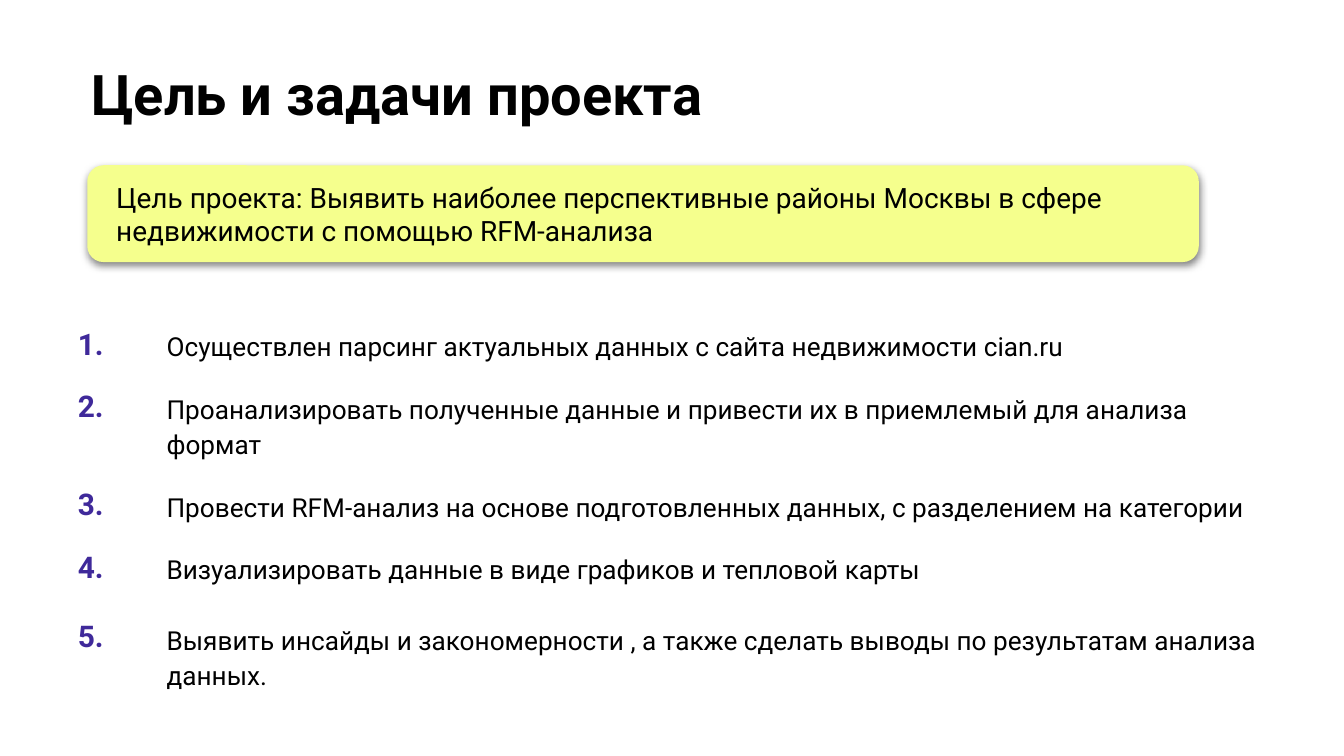
from dataclasses import dataclass

from lxml import etree
from pptx import Presentation
from pptx.dml.color import RGBColor
from pptx.enum.shapes import MSO_SHAPE
from pptx.enum.text import MSO_ANCHOR, MSO_AUTO_SIZE, PP_ALIGN
from pptx.oxml.ns import qn
from pptx.util import Inches, Pt

ROUNDED = MSO_SHAPE.ROUNDED_RECTANGLE
LEFT = PP_ALIGN.LEFT
TOP, MIDDLE = MSO_ANCHOR.TOP, MSO_ANCHOR.MIDDLE
NO_AUTOFIT = MSO_AUTO_SIZE.NONE
TITLE_ONLY = 5


@dataclass(frozen=True)
class Theme:
    font: str = "Roboto"
    line_height: float = 1.17  # of the type size
    text: RGBColor = RGBColor(0x00, 0x00, 0x00)
    number: RGBColor = RGBColor(0x3F, 0x29, 0x9A)
    goal: RGBColor = RGBColor(0xF5, 0xFF, 0x8D)
    title_size: int = 30
    goal_size: int = 15
    number_size: int = 16
    task_size: int = 14


THEME = Theme()

TITLE = "Цель и задачи проекта"
GOAL = ("Цель проекта: Выявить наиболее перспективные районы Москвы "
        "в сфере недвижимости с помощью RFM-анализа")

# Numbers and tasks of each table row; the last row is empty
ROWS = [
    (["1."], ["Осуществлен парсинг актуальных данных с сайта "
              "недвижимости cian.ru"]),
    (["2."], ["Проанализировать полученные данные и привести их "
              "в приемлемый для анализа формат"]),
    (["3."], ["Провести RFM-анализ на основе подготовленных данных, "
              "с разделением на категории"]),
    (["4.", "5."], ["Визуализировать данные в виде графиков и тепловой карты",
                    "Выявить инсайды и закономерности , а также сделать "
                    "выводы по результатам анализа данных."]),
    ([], []),
]
COLUMN_WIDTHS = (0.66, 8.56)
ROW_HEIGHT = 0.42


def set_margins(target, left, right):
    target.margin_left, target.margin_right = Inches(left), Inches(right)
    target.margin_top = target.margin_bottom = Inches(0.1)


def write(tf, lines, size, color=THEME.text, bold=False, spacing=None):
    """Fill a frame with paragraphs set one line apart."""
    tf.word_wrap = True
    for i, line in enumerate(lines):
        p = tf.add_paragraph() if i else tf.paragraphs[0]
        p.text = line
        p.alignment = LEFT
        if spacing:
            p.line_spacing = spacing
        if i:
            p.space_before = Pt(size * THEME.line_height * (spacing or 1))
        font = p.font
        font.name, font.size, font.bold = THEME.font, Pt(size), bold
        font.color.rgb = color


def add_shadow(sp):
    """Soft shadow straight below the shape, at half opacity."""
    sp.shadow.inherit = False
    effects = sp._element.spPr.find(qn("a:effectLst"))
    shadow = etree.SubElement(
        effects, qn("a:outerShdw"), blurRad=str(Pt(4.5)), dist=str(Pt(1.5)),
        dir="5400000", algn="bl", rotWithShape="0")
    color = etree.SubElement(shadow, qn("a:srgbClr"), val="000000")
    etree.SubElement(color, qn("a:alpha"), val="50000")


def set_title(slide):
    sp = slide.shapes.title
    sp.left, sp.top = Inches(0.58), Inches(0.34)
    sp.width, sp.height = Inches(9.32), Inches(1.43)
    tf = sp.text_frame
    tf.auto_size = NO_AUTOFIT
    tf.vertical_anchor = TOP
    set_margins(tf, 0.1, 0.1)
    write(tf, [TITLE], THEME.title_size, bold=True)


def add_goal(slide):
    sp = slide.shapes.add_shape(
        ROUNDED, Inches(0.65), Inches(1.23), Inches(8.27), Inches(0.72))
    sp.fill.solid()
    sp.fill.fore_color.rgb = THEME.goal
    sp.line.fill.background()
    add_shadow(sp)
    tf = sp.text_frame
    tf.vertical_anchor = MIDDLE
    set_margins(tf, 0.18, 0.18)
    write(tf, [GOAL], THEME.goal_size)


def add_tasks(slide):
    table = slide.shapes.add_table(
        len(ROWS), len(COLUMN_WIDTHS), Inches(0.36), Inches(2.34),
        Inches(sum(COLUMN_WIDTHS)), Inches(ROW_HEIGHT * len(ROWS))).table
    table.first_row = table.horz_banding = False
    for column, width in zip(table.columns, COLUMN_WIDTHS):
        column.width = Inches(width)

    # Rows grow with their text
    for row, (numbers, tasks) in zip(table.rows, ROWS):
        row.height = Inches(ROW_HEIGHT)
        number_cell, task_cell = row.cells
        for cell in (number_cell, task_cell):
            cell.fill.background()
            set_margins(cell, 0.22, 0.1)
        write(number_cell.text_frame, numbers, THEME.number_size,
              THEME.number, bold=True)
        write(task_cell.text_frame, tasks, THEME.task_size, spacing=1.15)


def main():
    prs = Presentation()
    prs.slide_width, prs.slide_height = Inches(10), Inches(10 * 9 / 16)
    slide = prs.slides.add_slide(prs.slide_layouts[TITLE_ONLY])

    # Heading, goal banner, numbered tasks
    set_title(slide)
    add_goal(slide)
    add_tasks(slide)

    prs.save("out.pptx")


if __name__ == "__main__":
    main()
